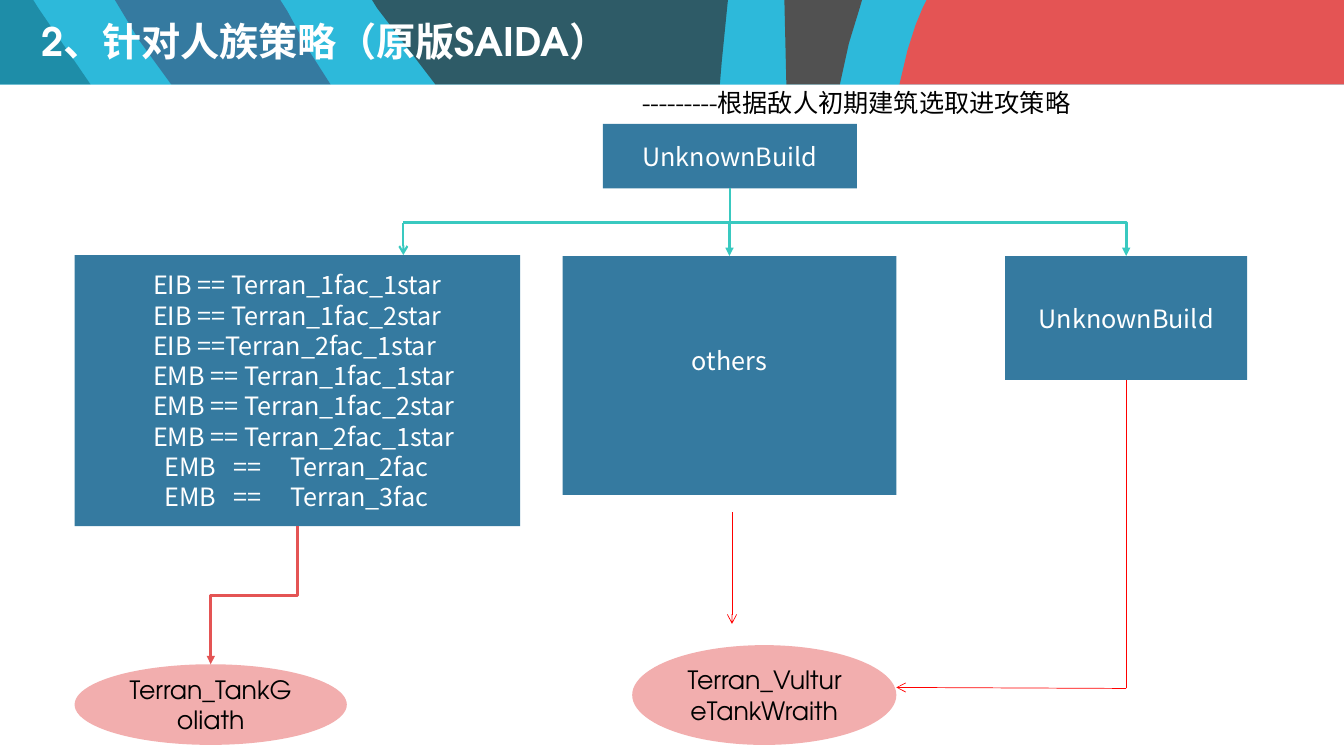
from lxml.etree import SubElement
from pptx import Presentation
from pptx.dml.color import RGBColor
from pptx.enum.shapes import MSO_CONNECTOR, MSO_SHAPE
from pptx.enum.text import MSO_ANCHOR, PP_ALIGN
from pptx.oxml.ns import qn
from pptx.util import Inches, Pt

THEME = {
    "sky": "2DB9DA", "teal": "1E8DA8", "blue": "357AA0", "dark": "2E5B67",
    "grey": "515151", "red": "E45454", "pink": "F2AEAE", "mint": "39C9C0",
    "alert": "FF0000", "white": "FFFFFF", "black": "000000",
    "head": 28, "body": 18,
    "sans": "Noto Sans CJK SC", "round": "TeX Gyre Adventor",
}
WIDE, HIGH, BAND = 13.33, 7.5, 0.84

STRIPES = [
    ("teal", [(0, 0), (0.33, 0), (0.38, 0.08), (0.9, BAND), (0, BAND)]),
    ("blue", [(1.14, 0), (2.78, 0), (2.85, 0.11), (3.05, 0.48),
              (3.28, BAND), (1.7, BAND), (1.38, 0.4)]),
    ("dark", [(3.69, 0), (7.22, 0), (7.16, 0.6), (7.14, BAND),
              (4.32, BAND), (3.74, 0.08)]),
    ("grey", [(7.78, 0), (8.55, 0), (8.53, 0.07), (8.42, 0.43),
              (8.33, BAND), (7.8, BAND)]),
    ("red", [(9.19, 0), (WIDE, 0), (WIDE, BAND), (8.92, BAND),
             (9, 0.5), (9.08, 0.25), (9.15, 0.08)]),
]
TITLE = "2、针对人族策略（原版SAIDA）"
NOTE = "---------根据敌人初期建筑选取进攻策略"
RULES = [
    "EIB == Terran_1fac_1star", "EIB == Terran_1fac_2star",
    "EIB ==Terran_2fac_1star", "EMB == Terran_1fac_1star",
    "EMB == Terran_1fac_2star", "EMB == Terran_2fac_1star",
    "\tEMB\t==\tTerran_2fac", "\tEMB\t==\tTerran_3fac",
]
STOPS = [0.79, 1.48, 2.04]
INDENT = 0.68
TREE = {
    "rules": (0.74, 2.53, 4.42, 2.69),
    "others": (5.58, 2.54, 3.31, 2.37),
    "build": (9.97, 2.54, 2.4, 1.23),
    "root": (5.98, 1.23, 2.52, 0.64),
}
LABELS = {"others": "others", "build": "UnknownBuild", "root": "UnknownBuild"}
GOALS = [
    ("Terran_TankGoliath", (0.74, 6.59, 2.7, 0.8)),
    ("Terran_VultureTankWraith", (6.27, 6.4, 2.62, 0.99)),
]


def top(box):
    return box[0] + box[2] / 2, box[1]


def foot(box):
    return box[0] + box[2] / 2, box[1] + box[3]


def tint(name):
    return RGBColor.from_string(THEME[name])


def paint(shape, name):
    shape.shadow.inherit = False
    shape.fill.solid()
    shape.fill.fore_color.rgb = tint(name)
    shape.line.fill.background()
    return shape


def block(kind, box, name):
    return paint(slide.shapes.add_shape(kind, *map(Inches, box)), name)


def write(para, text, face, color, size="body", bold=False):
    run = para.add_run()
    run.text = text
    font = run.font
    font.name, font.size, font.bold = THEME[face], Pt(THEME[size]), bold
    font.color.rgb = tint(color)
    SubElement(font._element, qn("a:ea")).set("typeface", THEME["sans"])


def label(shape, text, face, color):
    frame = shape.text_frame
    frame.word_wrap = True
    frame.vertical_anchor = MSO_ANCHOR.MIDDLE
    para = frame.paragraphs[0]
    para.alignment = PP_ALIGN.CENTER
    write(para, text, face, color)


def textbox(box):
    frame = slide.shapes.add_textbox(*map(Inches, box)).text_frame
    frame.word_wrap = True
    return frame


def link(start, end, color, width, head=None, kind=MSO_CONNECTOR.STRAIGHT):
    wire = slide.shapes.add_connector(kind, *map(Inches, (*start, *end)))
    wire.line.color.rgb = tint(color)
    wire.line.width = Pt(width)
    if head:
        SubElement(wire.line._get_or_add_ln(), qn("a:tailEnd")).set("type", head)
    SubElement(wire._element.spPr, qn("a:effectLst"))
    return wire


def elbow(start, end, color):
    midx, midy = (start[0] + end[0]) / 2, (start[1] + end[1]) / 2
    dx, dy = (end[0] - start[0]) / 2, (end[1] - start[1]) / 2
    wire = link((midx - dy, midy + dx), (midx + dy, midy - dx),
                color, 2, "triangle", MSO_CONNECTOR.ELBOW)
    wire._element.spPr.find(qn("a:xfrm")).set("rot", "5400000")


deck = Presentation()
deck.slide_width, deck.slide_height = Inches(WIDE), Inches(HIGH)
slide = deck.slides.add_slide(deck.slide_layouts[6])
slide.background.fill.solid()
slide.background.fill.fore_color.rgb = tint("sky")

for name, points in STRIPES:
    spots = [(Inches(x), Inches(y)) for x, y in points]
    pen = slide.shapes.build_freeform(*spots[0])
    pen.add_line_segments(spots[1:], close=True)
    paint(pen.convert_to_shape(), name)
block(MSO_SHAPE.RECTANGLE, (0, BAND, WIDE, HIGH - BAND), "white")

frame = textbox((0.31, 0.11, 8.48, 0.65))
frame.vertical_anchor = MSO_ANCHOR.MIDDLE
frame.paragraphs[0].line_spacing = 0.9
write(frame.paragraphs[0], TITLE, "round", "white", "head", True)
write(textbox((6.27, 0.82, 4.72, 0.4)).paragraphs[0], NOTE, "round", "black")

cards = {key: block(MSO_SHAPE.RECTANGLE, box, "blue") for key, box in TREE.items()}
for key, text in LABELS.items():
    label(cards[key], text, "sans", "white")
cards["others"].text_frame.margin_bottom = Inches(0.35)

frame = cards["rules"].text_frame
frame.word_wrap = True
frame.vertical_anchor = MSO_ANCHOR.MIDDLE
for i, rule in enumerate(RULES):
    para = frame.add_paragraph() if i else frame.paragraphs[0]
    para.alignment = PP_ALIGN.LEFT
    props = para._p.get_or_add_pPr()
    if "\t" in rule:
        tabs = SubElement(props, qn("a:tabLst"))
        for stop in STOPS:
            tab = SubElement(tabs, qn("a:tab"))
            tab.set("pos", str(Inches(stop)))
            tab.set("algn", "l")
    else:
        props.set("marL", str(Inches(INDENT)))
    write(para, rule, "sans", "white")

for text, box in GOALS:
    label(block(MSO_SHAPE.OVAL, box, "pink"), text, "round", "black")

root, build = foot(TREE["root"]), foot(TREE["build"])
tank, wraith = (box for text, box in GOALS)
elbow(foot(TREE["rules"]), top(tank), "red")
for key in ("others", "build"):
    elbow(root, (top(TREE[key])[0], TREE[key][1]), "mint")
fork = (4, 2.21)
link(fork, (fork[0], TREE["rules"][1]), "mint", 1.5, "arrow")
link((root[0], fork[1]), fork, "mint", 2.25)
link((7.26, 5.08), (7.26, 6.19), "alert", 0.5, "arrow")
turn = (build[0], 6.83)
link(build, turn, "alert", 0.5)
link(turn, (wraith[0] + wraith[2], 6.82), "alert", 0.5, "arrow")

deck.save("out.pptx")
